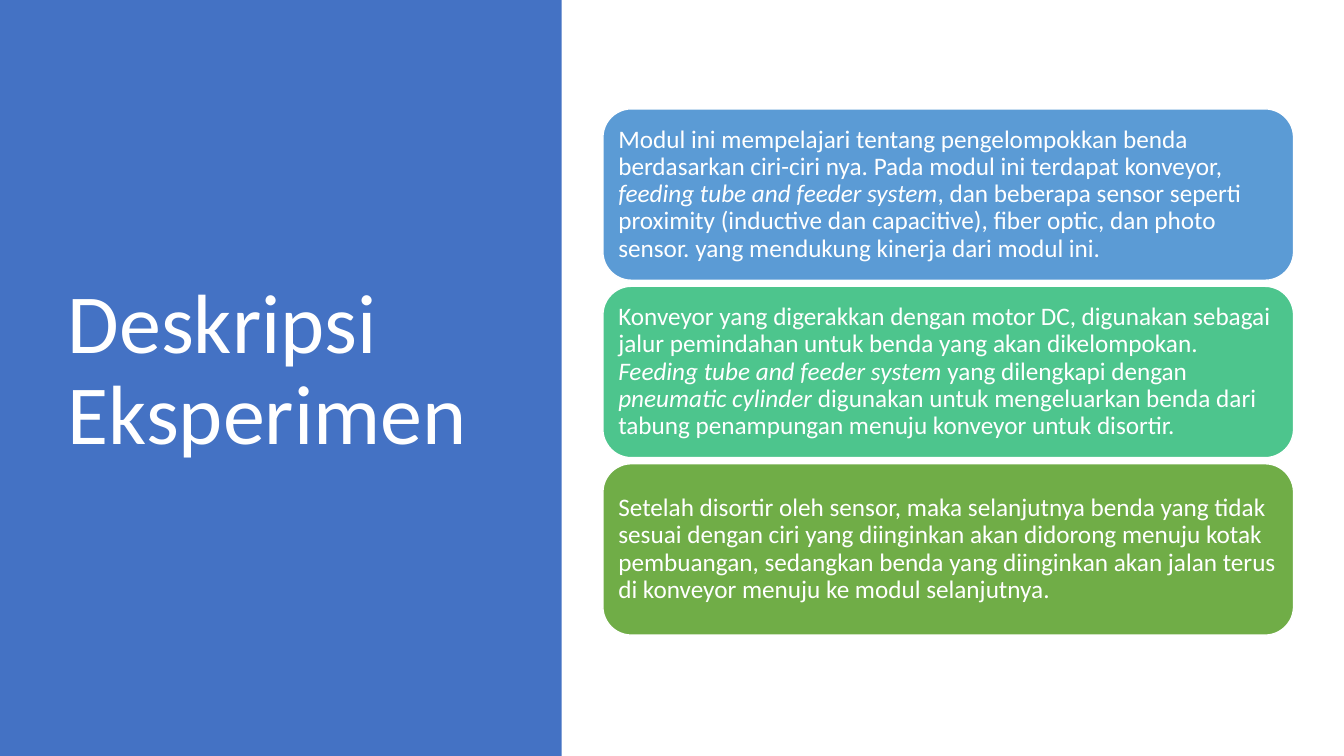
from pptx import Presentation
from pptx.dml.color import RGBColor
from pptx.enum.shapes import MSO_SHAPE
from pptx.enum.text import MSO_ANCHOR, MSO_AUTO_SIZE, PP_ALIGN
from pptx.util import Inches, Pt

WHITE = RGBColor(0xFF, 0xFF, 0xFF)
PANEL_BLUE = RGBColor(0x44, 0x72, 0xC4)
SKY_BLUE = RGBColor(0x5B, 0x9B, 0xD5)
MINT = RGBColor(0x4D, 0xC5, 0x8D)
GREEN = RGBColor(0x70, 0xAD, 0x47)

# Each card: fill colour and spans of (text, italic)
CARDS = [
    (SKY_BLUE, [
        ("Modul ini mempelajari tentang pengelompokkan benda berdasarkan "
         "ciri-ciri nya. Pada modul ini terdapat konveyor, ", False),
        ("feeding tube and feeder system", True),
        (", dan beberapa sensor seperti proximity (inductive dan capacitive), "
         "fiber optic, dan photo sensor. yang mendukung kinerja dari modul ini.", False),
    ]),
    (MINT, [
        ("Konveyor yang digerakkan dengan motor DC, digunakan sebagai jalur "
         "pemindahan untuk benda yang akan dikelompokan. ", False),
        ("Feeding tube and feeder system ", True),
        ("yang dilengkapi dengan ", False),
        ("pneumatic cylinder ", True),
        ("digunakan untuk mengeluarkan benda dari tabung penampungan menuju "
         "konveyor untuk disortir.", False),
    ]),
    (GREEN, [
        ("Setelah disortir oleh sensor, maka selanjutnya benda yang tidak sesuai "
         "dengan ciri yang diinginkan akan didorong menuju kotak pembuangan, "
         "sedangkan benda yang diinginkan akan jalan terus di konveyor menuju "
         "ke modul selanjutnya.", False),
    ]),
]
# Card positions, in percent of the slide
CARD_LEFT, CARD_WIDTH = 44.86, 51.39
CARD_TOP, CARD_HEIGHT, CARD_STEP = 14.4, 22.67, 23.47


def write_text(frame, spans, size, font="Calibri", color=WHITE, inset=0.1):
    """Fill a frame with one left-aligned, vertically centred paragraph."""
    frame.word_wrap = True
    frame.auto_size = MSO_AUTO_SIZE.NONE
    frame.vertical_anchor = MSO_ANCHOR.MIDDLE
    frame.margin_left = frame.margin_right = Inches(inset)
    frame.margin_top = frame.margin_bottom = Inches(min(inset, 0.07))
    para = frame.paragraphs[0]
    para.alignment = PP_ALIGN.LEFT
    para.line_spacing = 0.9
    for text, italic in spans:
        span = para.add_run()
        span.text = text
        span.font.name = font
        span.font.size = Pt(size)
        span.font.italic = italic
        span.font.color.rgb = color


class SlideBuilder:
    """Holds the deck and the current page; lengths are percents of the slide."""

    def __init__(self, deck):
        self.deck = deck
        self.page = deck.slides.add_slide(deck.slide_layouts[5])

    def area(self, left, top, width, height):
        across, down = self.deck.slide_width / 100, self.deck.slide_height / 100
        return (round(left * across), round(top * down),
                round(width * across), round(height * down))

    def block(self, kind, area, fill, outline=None):
        box = self.page.shapes.add_shape(kind, *self.area(*area))
        box.shadow.inherit = False
        box.fill.solid()
        box.fill.fore_color.rgb = fill
        if outline is None:
            box.line.fill.background()
        else:
            box.line.color.rgb = outline
            box.line.width = Pt(1)
        return box

    def panel(self, area, fill):
        box = self.block(MSO_SHAPE.RECTANGLE, area, fill)
        # Place the panel behind the title
        self.page.shapes.title.element.addprevious(box.element)

    def title(self, text, area):
        box = self.page.shapes.title
        box.left, box.top, box.width, box.height = self.area(*area)
        write_text(box.text_frame, [(text, False)], size=60)

    def card(self, spans, area, fill):
        box = self.block(MSO_SHAPE.ROUNDED_RECTANGLE, area, fill, outline=WHITE)
        write_text(box.text_frame, spans, size=18, inset=0.07)


def main():
    deck = Presentation()
    deck.slide_width, deck.slide_height = Inches(13.33), Inches(7.5)
    builder = SlideBuilder(deck)

    # Left panel with the title
    builder.panel((0, 0, 41.79, 100), PANEL_BLUE)
    builder.title("Deskripsi Eksperimen", (4.28, 9.07, 31.21, 80.27))

    # Stack of description cards
    for row, (fill, spans) in enumerate(CARDS):
        top = CARD_TOP + row * CARD_STEP
        builder.card(spans, (CARD_LEFT, top, CARD_WIDTH, CARD_HEIGHT), fill)

    deck.save("out.pptx")


if __name__ == "__main__":
    main()
